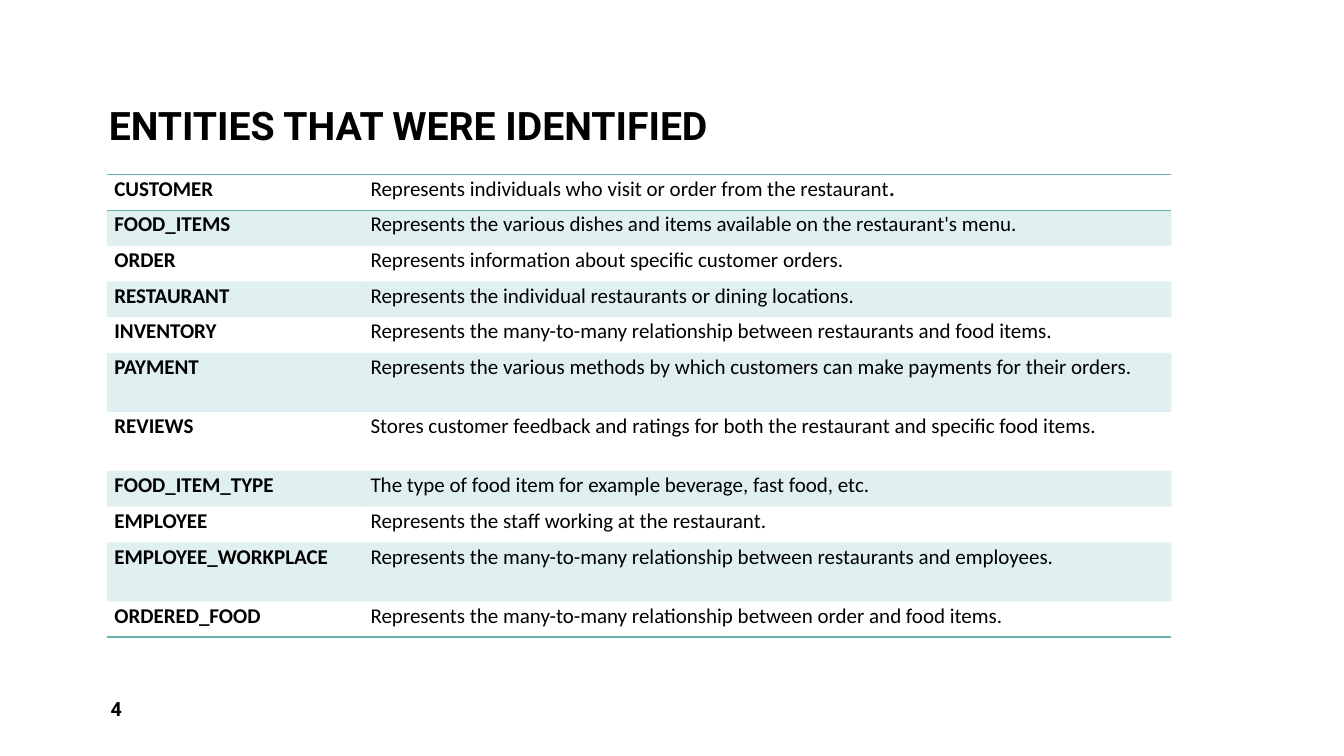
from lxml import etree
from pptx import Presentation
from pptx.dml.color import RGBColor
from pptx.enum.text import MSO_ANCHOR
from pptx.oxml.ns import qn
from pptx.util import Pt

BOTTOM = MSO_ANCHOR.BOTTOM
MIDDLE = MSO_ANCHOR.MIDDLE
BLACK = RGBColor(0x00, 0x00, 0x00)
TEAL = RGBColor(0x66, 0xB2, 0xB0)
PLAIN_TABLE = "{2D5ABB26-0587-4C30-8999-92F81FD0307C}"
SINGLE, TALL = 25.5, 42.2
COLUMN_WIDTHS = (183, 577.5)

ENTITIES = [
    ("CUSTOMER", "Represents individuals who visit or order from the restaurant", SINGLE),
    ("FOOD_ITEMS", "Represents the various dishes and items available on the restaurant's menu.", SINGLE),
    ("ORDER", "Represents information about specific customer orders.", SINGLE),
    ("RESTAURANT", "Represents the individual restaurants or dining locations.", SINGLE),
    ("INVENTORY", "Represents the many-to-many relationship between restaurants and food items.", SINGLE),
    ("PAYMENT", "Represents the various methods by which customers can make payments for their orders.", TALL),
    ("REVIEWS", "Stores customer feedback and ratings for both the restaurant and specific food items.", TALL),
    ("FOOD_ITEM_TYPE", "The type of food item for example beverage, fast food, etc.", SINGLE),
    ("EMPLOYEE", "Represents the staff working at the restaurant.", SINGLE),
    ("EMPLOYEE_WORKPLACE", "Represents the many-to-many relationship between restaurants and employees.", TALL),
    ("ORDERED_FOOD", "Represents the many-to-many relationship between order and food items.", SINGLE),
]


class EntityPage:
    heading_font = "Roboto"
    table_font = "Calibri"

    def __init__(self, page):
        self.page = page

    def style(self, para, font, size, bold, spacing):
        para.font.name = font
        para.font.size = Pt(size)
        para.font.bold = bold
        para.font.color.rgb = BLACK
        para.line_spacing = spacing

    def heading(self, text, left, top, width, height, size, anchor, spacing=1.0):
        box = self.page.shapes.add_textbox(Pt(left), Pt(top), Pt(width), Pt(height))
        frame = box.text_frame
        frame.word_wrap = True
        frame.vertical_anchor = anchor
        para = frame.paragraphs[0]
        para.text = text
        self.style(para, self.heading_font, size, True, spacing)

    def border(self, cell, side):
        line = etree.SubElement(cell._tc.get_or_add_tcPr(), qn(f"a:{side}"), w=str(Pt(1)))
        fill = etree.SubElement(line, qn("a:solidFill"))
        etree.SubElement(fill, qn("a:srgbClr"), val=str(TEAL))

    def shade(self, cell):
        cell.fill.solid()
        cell.fill.fore_color.rgb = TEAL
        color = cell._tc.tcPr.find(f"{qn('a:solidFill')}/{qn('a:srgbClr')}")
        etree.SubElement(color, qn("a:alpha"), val="20000")

    def cell(self, cell, text, bold, sides, shaded):
        cell.margin_left = cell.margin_right = Pt(5.4)
        cell.margin_top = cell.margin_bottom = Pt(0)
        para = cell.text_frame.paragraphs[0]
        para.text = text
        self.style(para, self.table_font, 15, bold, 1.07)
        for side in sides:
            self.border(cell, side)
        if shaded:
            self.shade(cell)
        else:
            cell.fill.background()

    def table(self, entities, left, top):
        height = sum(entity[2] for entity in entities)
        frame = self.page.shapes.add_table(
            len(entities), 2, Pt(left), Pt(top), Pt(sum(COLUMN_WIDTHS)), Pt(height))
        table = frame.table
        table.first_row = False
        table.horz_banding = False
        table._tbl.tblPr.find(qn("a:tableStyleId")).text = PLAIN_TABLE
        for column, width in zip(table.columns, COLUMN_WIDTHS):
            column.width = Pt(width)
        borders = {0: ("lnT", "lnB"), len(entities) - 1: ("lnB",)}
        for index, (name, description, row_height) in enumerate(entities):
            table.rows[index].height = Pt(row_height)
            for column, text in enumerate((name, description)):
                self.cell(table.cell(index, column), text, column == 0,
                          borders.get(index, ()), index % 2 == 1)
        return table


def main():
    deck = Presentation()
    deck.slide_width = Pt(960)
    deck.slide_height = Pt(540)
    page = EntityPage(deck.slides.add_slide(deck.slide_layouts[6]))
    page.heading("ENTITIES THAT WERE IDENTIFIED", 70.6, 5.8, 819.4, 104.4, 28, BOTTOM, 0.9)
    page.heading("4", 72, 491.8, 210, 28.8, 14, MIDDLE)
    table = page.table(ENTITIES, 76.3, 124.6)
    full_stop = table.cell(0, 1).text_frame.paragraphs[0].add_run()
    full_stop.text = "."
    full_stop.font.bold = True
    deck.save("out.pptx")


if __name__ == "__main__":
    main()
